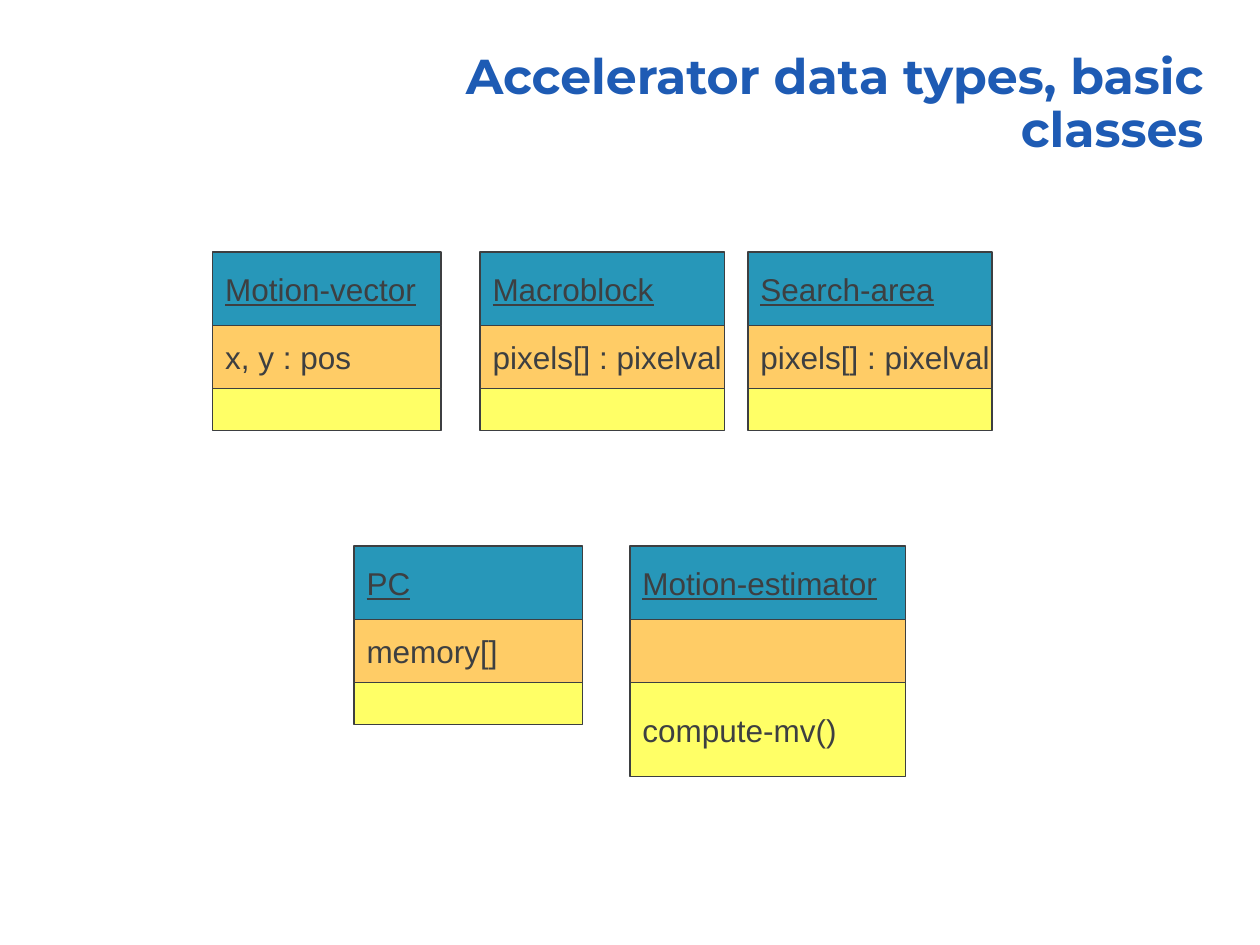
"""Build a slide of UML class boxes for accelerator data types."""
from pptx import Presentation
from pptx.dml.color import RGBColor
from pptx.enum import shapes, text
from pptx.util import Cm, Pt

BLUE = RGBColor(0x1E, 0x5B, 0xB4)
INK = RGBColor(0x3D, 0x3F, 0x41)
TEAL = RGBColor(0x27, 0x97, 0xB9)
ORANGE = RGBColor(0xFF, 0xCC, 0x66)
YELLOW = RGBColor(0xFF, 0xFF, 0x66)

TITLE = "Accelerator data types, basic classes"
NAME_HEIGHT, ATTRIBUTE_HEIGHT = 1.48, 1.27
EMPTY_HEIGHT, OPERATION_HEIGHT = 0.85, 1.9
TOP_ROW, BOTTOM_ROW = 5.08, 11.01
CLASSES = [
    ("Motion-vector", "x, y : pos", "", 4.29, TOP_ROW, 4.6),
    ("Macroblock", "pixels[] : pixelval", "", 9.68, TOP_ROW, 4.92),
    ("Search-area", "pixels[] : pixelval", "", 15.08, TOP_ROW, 4.92),
    ("PC", "memory[]", "", 7.14, BOTTOM_ROW, 4.6),
    ("Motion-estimator", "", "compute-mv()", 12.7, BOTTOM_ROW, 5.56),
]


def write(frame, words, font_name, size, color, align):
    paragraph = frame.paragraphs[0]
    paragraph.alignment = align
    run = paragraph.add_run()
    run.text = words
    run.font.name = font_name
    run.font.size = Pt(size)
    run.font.color.rgb = color
    return paragraph, run


def add_title(slide):
    title = slide.shapes.add_textbox(Cm(7.47), Cm(1.35), Cm(17.04), Cm(1.96))
    frame = title.text_frame
    frame.word_wrap = True
    frame.vertical_anchor = text.MSO_ANCHOR.BOTTOM
    paragraph, run = write(frame, TITLE, "Montserrat", 28, BLUE, text.PP_ALIGN.RIGHT)
    paragraph.line_spacing = 0.9
    run.font.bold = True


def add_compartment(slide, words, left, top, width, height, fill, underline):
    compartment = slide.shapes.add_shape(
        shapes.MSO_SHAPE.RECTANGLE, Cm(left), Cm(top), Cm(width), Cm(height))
    compartment.shadow.inherit = False
    compartment.fill.solid()
    compartment.fill.fore_color.rgb = fill
    compartment.line.color.rgb = INK
    compartment.line.width = Pt(0.75)
    if words:
        frame = compartment.text_frame
        frame.word_wrap = False
        frame.vertical_anchor = text.MSO_ANCHOR.MIDDLE
        _, run = write(frame, words, "Arial", 18, INK, text.PP_ALIGN.LEFT)
        run.font.underline = underline


def add_class(slide, name, attribute, operation, left, top, width):
    operation_height = OPERATION_HEIGHT if operation else EMPTY_HEIGHT
    compartments = [
        (name, NAME_HEIGHT, TEAL, True),
        (attribute, ATTRIBUTE_HEIGHT, ORANGE, None),
        (operation, operation_height, YELLOW, None),
    ]
    for words, height, fill, underline in compartments:
        add_compartment(slide, words, left, top, width, height, fill, underline)
        top += height


def main():
    deck = Presentation()
    deck.slide_width, deck.slide_height = Cm(25.4), Cm(19.05)
    slide = deck.slides.add_slide(deck.slide_layouts[6])
    add_title(slide)
    for uml_class in CLASSES:
        add_class(slide, *uml_class)
    deck.save("out.pptx")


if __name__ == "__main__":
    main()
